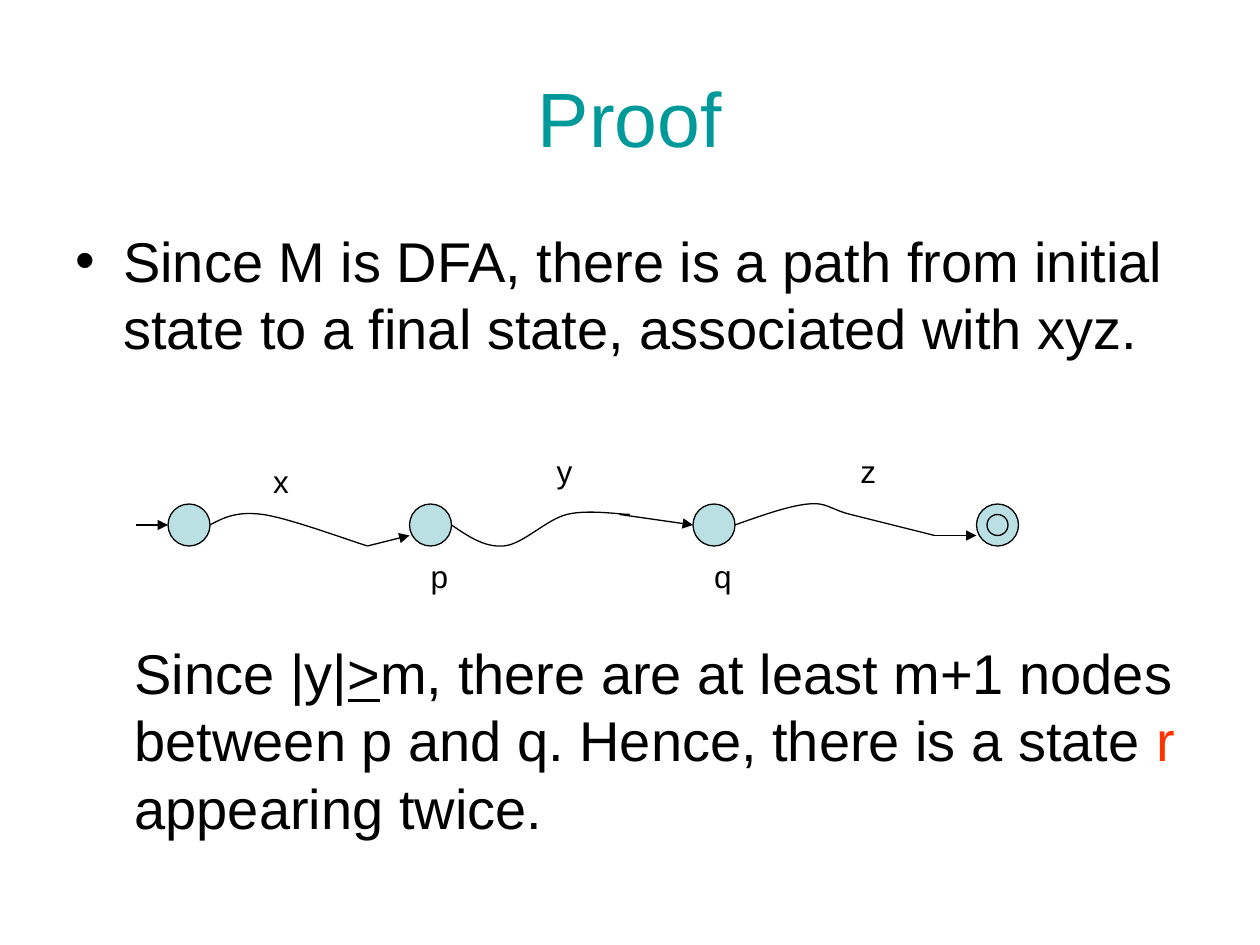
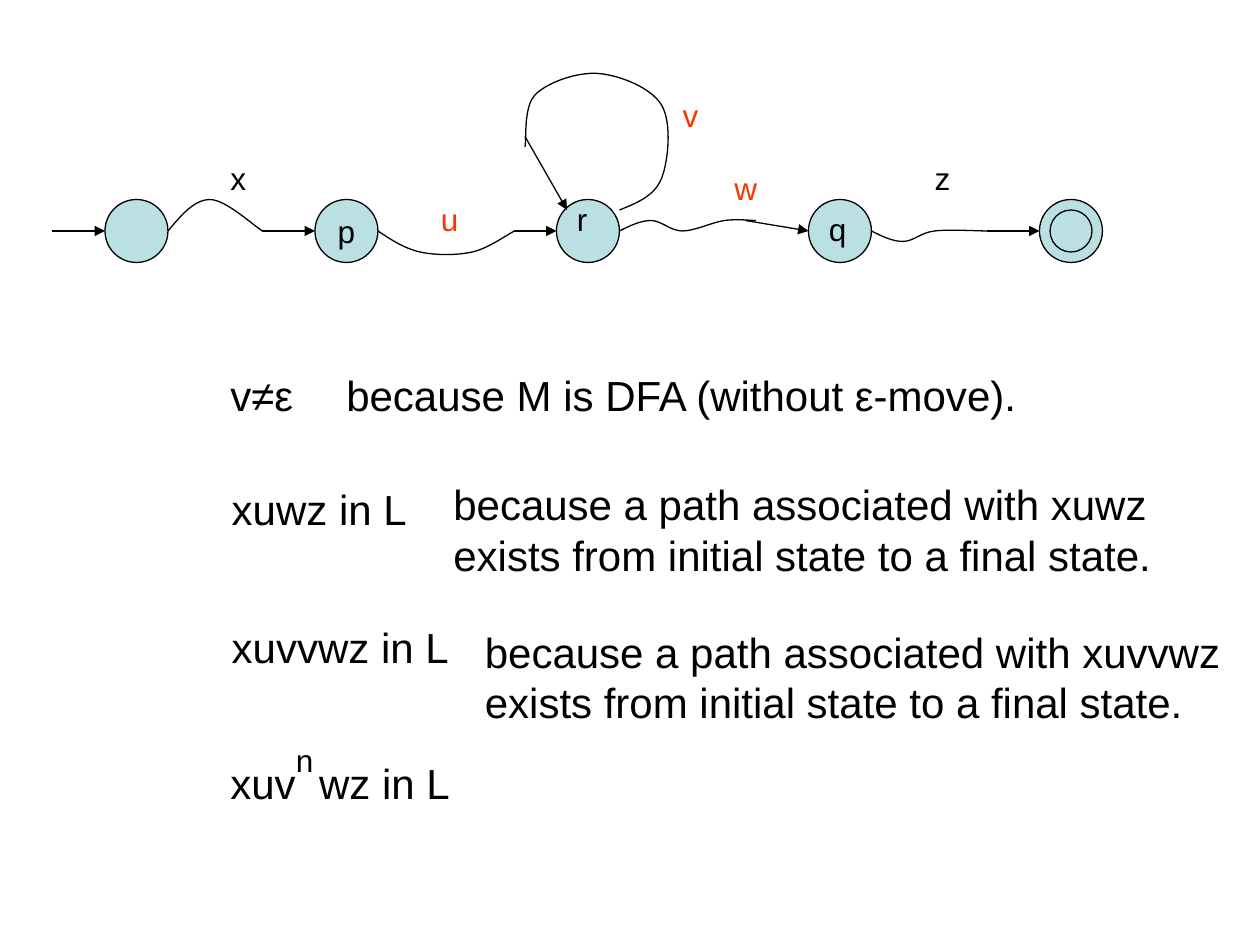
from itertools import pairwise

from lxml import etree
from pptx import Presentation
from pptx.dml.color import RGBColor
from pptx.enum.shapes import MSO_CONNECTOR, MSO_SHAPE
from pptx.enum.text import MSO_ANCHOR, MSO_AUTO_SIZE, PP_ALIGN
from pptx.oxml.ns import qn
from pptx.util import Inches, Pt

STRAIGHT, ELLIPSE = MSO_CONNECTOR.STRAIGHT, MSO_SHAPE.OVAL
MIDDLE, TOP = MSO_ANCHOR.MIDDLE, MSO_ANCHOR.TOP
CENTER, LEFT = PP_ALIGN.CENTER, PP_ALIGN.LEFT
FIT_SHAPE, FIT_NONE = MSO_AUTO_SIZE.SHAPE_TO_FIT_TEXT, MSO_AUTO_SIZE.NONE

THEME = {
    "font": "Arial",
    "ink": RGBColor.from_string("000000"),
    "title": RGBColor.from_string("009999"),
    "accent": RGBColor.from_string("FF3300"),
    "state": RGBColor.from_string("BBE0E3"),
    "title_size": 44, "body_size": 32, "reason_size": 24, "label_size": 18,
    "line": Pt(0.75),
}
WIDTH, HEIGHT = 10, 7.5
CELL = Inches(1) / 12      # diagrams sit on a grid of twelve cells to the inch

# ---- Content: a span is plain text or (text, format values) ----
RED = {"color": "accent"}
TITLE = "Proof"
CLAIM = "Since M is DFA, there is a path from initial state to a final state, associated with xyz."
CONCLUSION = [
    ["Since |y|", (">", {"underline": True}), "m, there are at least m+1 nodes"],
    ["between p and q. Hence, there is a state ", ("r", RED)],
    ["appearing twice."],
]
EXISTS = ["exists from initial state to a final state."]

# Reasons: left, top, width, lines
REASONS = [
    (1.73, 2.88, 0.7, [["v≠ε"]]),
    (2.65, 2.88, 5.55, [["because M is DFA (without ε-move)."]]),
    (1.74, 3.79, 1.59, [["xuwz in L"]]),
    (3.5, 3.75, 5.74, [["because a path associated with xuwz"], EXISTS]),
    (1.74, 4.88, 1.92, [["xuvvwz in L"]]),
    (3.75, 4.92, 6.06, [["because a path associated with xuvvwz"], EXISTS]),
    (1.73, 5.96, 1.94, [["xuv", (" ", {"spacing": 6.67}), "wz in L"]]),
]
EXPONENT = ("n", 2.25, 5.83, 0.34, {})

# Diagrams: states, curves and arrows in grid cells, labels in inches
PATH_DIAGRAM = {
    "diameter": 4, "top": 48, "states": [(16, ""), (39, ""), (66, ""), (93, "")],
    "curves": [
        [(20, 50), (25, 49), (35, 52)],
        [(43, 50), (48, 52), (54, 49), (60, 49)],
        [(70, 50), (77, 48), (81, 49), (89, 51)],
    ],
    "arrows": [(13, 50, 16, 50), (35, 52, 39, 51), (59, 49, 66, 50), (89, 51, 93, 51)],
    "labels": [
        ("x", 2.07, 3.62, 0.32, {}), ("y", 4.32, 3.54, 0.32, {}),
        ("z", 6.73, 3.54, 0.32, {}), ("p", 3.32, 4.37, 0.34, {}),
        ("q", 5.57, 4.37, 0.34, {}),
    ],
}
LOOP_DIAGRAM = {
    "diameter": 6, "top": 19,
    "states": [(10, ""), (30, "p"), (53, ""), (77, ""), (99, "")],
    "curves": [
        [(16, 22), (20, 19), (25, 22)],
        [(36, 22), (40, 24), (45, 24), (49, 22)],
        [(59, 22), (62, 21), (65, 22), (69, 21), (72, 21)],
        [(83, 22), (86, 23), (89, 22), (94, 22)],
        [(59, 20), (63, 17), (63, 10), (57, 7), (51, 9), (50, 14)],
    ],
    "arrows": [(5, 22, 10, 22), (25, 22, 30, 22), (49, 22, 53, 22),
               (71, 21, 77, 22), (94, 22, 99, 22), (50, 13, 54, 20)],
    "labels": [
        ("q", 6.48, 1.62, 0.34, {}), ("r", 4.48, 1.54, 0.28, {}),
        ("x", 1.73, 1.21, 0.32, {}), ("z", 7.32, 1.21, 0.32, {}),
        ("u", 3.4, 1.54, 0.34, RED), ("v", 5.32, 0.71, 0.32, RED),
        ("w", 5.73, 1.29, 0.38, RED), EXPONENT,
    ],
}


# ---- Text ----
def write_lines(frame, lines, size, color="ink", align=LEFT, **frame_format):
    for name, value in frame_format.items():
        setattr(frame, name, value)
    for index, spans in enumerate(lines):
        para = frame.paragraphs[0] if index == 0 else frame.add_paragraph()
        para.alignment = align
        for item in spans:
            text, extra = (item, {}) if isinstance(item, str) else item
            span = para.add_run()
            span.text = text
            font_format = {"name": THEME["font"], "size": Pt(size),
                           "underline": extra.get("underline")}
            for name, value in font_format.items():
                setattr(span.font, name, value)
            span.font.color.rgb = THEME[extra.get("color", color)]
            if "spacing" in extra:
                span.font._element.set("spc", str(round(extra["spacing"] * 100)))


def add_text(page, left, top, width, height, lines, size, **formats):
    box = page.shapes.add_textbox(*map(Inches, (left, top, width, height)))
    settings = {"word_wrap": False, "auto_size": FIT_SHAPE, "vertical_anchor": TOP}
    write_lines(box.text_frame, lines, size, **{**settings, **formats})
    return box


def add_fitted_text(page, left, top, width, lines, size):
    height = round(0.1 + len(lines) * size / 60, 2)
    return add_text(page, left, top, width, height, lines, size)


def add_bullet(para):
    para.space_before = Pt(8)
    properties = para._p.get_or_add_pPr()
    properties.set("marL", str(Inches(0.38)))
    properties.set("indent", str(Inches(-0.38)))
    etree.SubElement(properties, qn("a:buFont"), typeface=THEME["font"])
    etree.SubElement(properties, qn("a:buChar"), char="•")


# ---- Diagram parts ----
def style_line(shape):
    shape.line.color.rgb = THEME["ink"]
    shape.line.width = THEME["line"]


def add_circle(page, left, top, diameter, text=""):
    cells = (left, top, diameter, diameter)
    circle = page.shapes.add_shape(ELLIPSE, *(round(n * CELL) for n in cells))
    circle.shadow.inherit = False
    circle.fill.solid()
    circle.fill.fore_color.rgb = THEME["state"]
    style_line(circle)
    if text:
        write_lines(circle.text_frame, [[text]], THEME["label_size"], align=CENTER,
                    word_wrap=False, vertical_anchor=MIDDLE)


def add_arrow(page, *ends):
    arrow = page.shapes.add_connector(STRAIGHT, *(round(n * CELL) for n in ends))
    style_line(arrow)
    etree.SubElement(arrow.line._get_or_add_ln(), qn("a:tailEnd"), type="triangle")
    etree.SubElement(arrow._element.spPr, qn("a:effectLst"))


def bezier_points(knots):
    """Start, then two controls and an end per segment; tangents follow neighbours."""
    following = knots[1:] + knots[-1:]
    previous = knots[:1] + knots[:-1]
    tangents = [((b[0] - a[0]) / 6, (b[1] - a[1]) / 6)
                for a, b in zip(previous, following)]
    points = [knots[0]]
    for index, (start, end) in enumerate(pairwise(knots)):
        into = [e - t for e, t in zip(end, tangents[index + 1])]
        if index == 0:
            away = [(s + i) / 2 for s, i in zip(start, into)]
        else:
            away = [s + t for s, t in zip(start, tangents[index])]
        points += [away, into, end]
    return points


def add_curve(page, knots):
    points = [(round(x * CELL), round(y * CELL)) for x, y in bezier_points(knots)]
    builder = page.shapes.build_freeform(*points[0])
    builder.add_line_segments(points[1:], close=False)
    curve = builder.convert_to_shape()
    # Join every three straight steps into one cubic segment
    outline = next(curve._element.iter(qn("a:path")))
    steps = outline.findall(qn("a:lnTo"))
    for first in range(0, len(steps), 3):
        segment = etree.SubElement(outline, qn("a:cubicBezTo"))
        for step in steps[first:first + 3]:
            segment.append(step[0])
            outline.remove(step)
    curve.shadow.inherit = False
    curve.fill.background()
    style_line(curve)


def draw_diagram(page, diagram):
    diameter, top = diagram["diameter"], diagram["top"]
    for left, text in diagram["states"]:
        add_circle(page, left, top, diameter, text)
    final_left = diagram["states"][-1][0]
    add_circle(page, final_left + 1, top + 1, diameter - 2)
    for knots in diagram["curves"]:
        add_curve(page, knots)
    for ends in diagram["arrows"]:
        add_arrow(page, *ends)
    for text, left, label_top, width, extra in diagram["labels"]:
        add_fitted_text(page, left, label_top, width, [[(text, extra)]], THEME["label_size"])


# ---- Pages ----
def build_proof(page):
    column = {"left": 0.05 * WIDTH, "width": 0.9 * WIDTH}
    fixed = {"word_wrap": True, "auto_size": FIT_NONE}
    add_text(page, top=0.04 * HEIGHT, height=1.25, lines=[[TITLE]],
             size=THEME["title_size"], color="title", align=CENTER,
             **column, **{**fixed, "vertical_anchor": MIDDLE})
    claim = add_text(page, top=1.75, height=0.66 * HEIGHT, lines=[[CLAIM]],
                     size=THEME["body_size"], **column, **fixed)
    add_bullet(claim.text_frame.paragraphs[0])
    draw_diagram(page, PATH_DIAGRAM)
    add_fitted_text(page, 0.97, 5.02, 8.46, CONCLUSION, THEME["body_size"])


def build_reasons(page):
    draw_diagram(page, LOOP_DIAGRAM)
    for left, top, width, lines in REASONS:
        add_fitted_text(page, left, top, width, lines, THEME["reason_size"])


def main():
    deck = Presentation()
    deck.slide_width, deck.slide_height = Inches(WIDTH), Inches(HEIGHT)
    blank = deck.slide_layouts[6]
    for build in (build_proof, build_reasons):
        build(deck.slides.add_slide(blank))
    deck.save("out.pptx")


if __name__ == "__main__":
    main()
